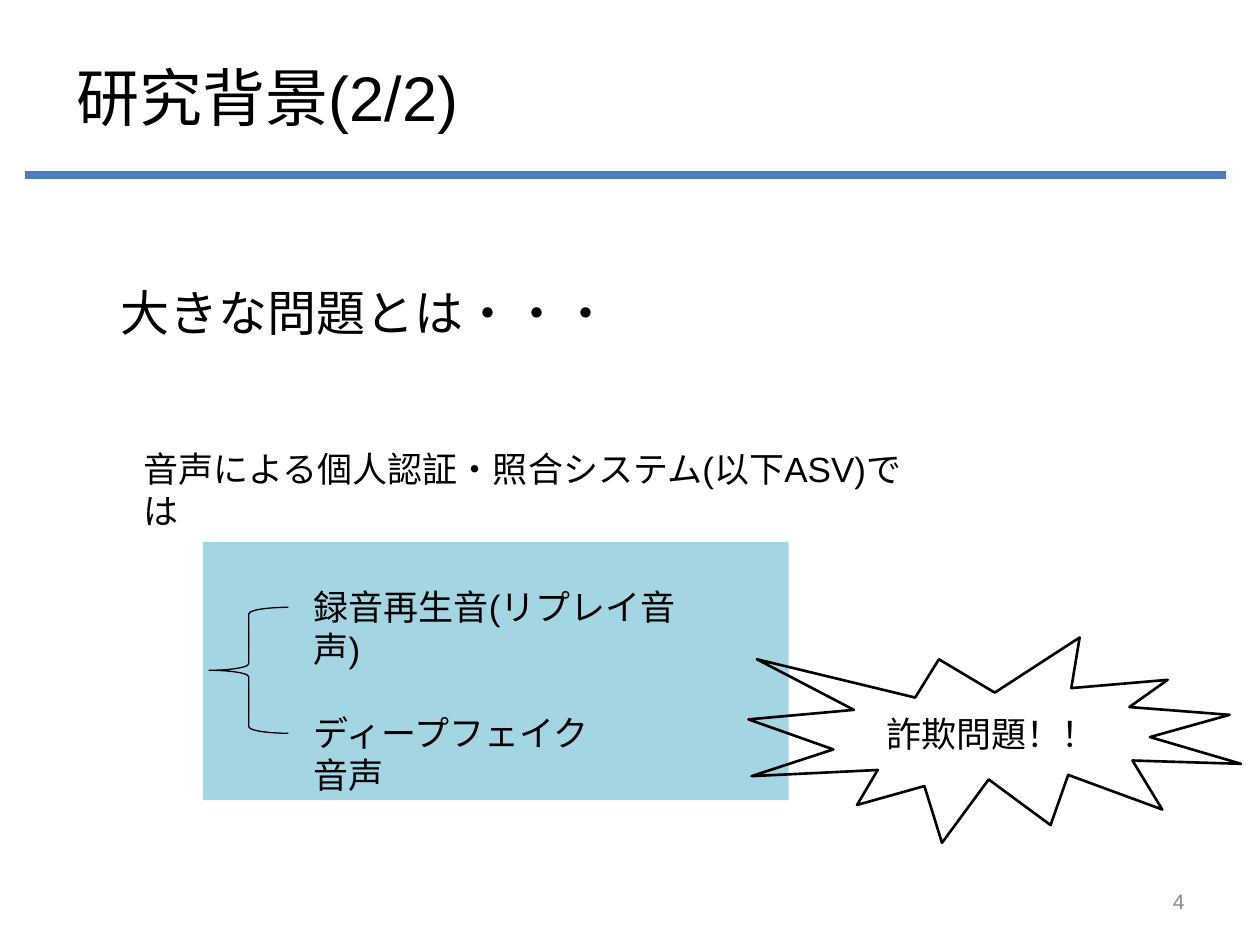
from lxml import etree
from pptx import Presentation
from pptx.dml.color import RGBColor
from pptx.enum.shapes import MSO_CONNECTOR, MSO_SHAPE
from pptx.enum.text import MSO_ANCHOR, PP_ALIGN
from pptx.oxml.ns import qn
from pptx.util import Emu, Pt

PX = 9144
FONT = "Arial"
BLACK, GREY, BLUE, TEAL = "000000", "8C8C8C", "4B7EBC", "4BACC6"
LEFT, CENTER, RIGHT = PP_ALIGN.LEFT, PP_ALIGN.CENTER, PP_ALIGN.RIGHT
TOP, MIDDLE = MSO_ANCHOR.TOP, MSO_ANCHOR.MIDDLE
RECTANGLE, BRACE, BURST = MSO_SHAPE.RECTANGLE, MSO_SHAPE.LEFT_BRACE, MSO_SHAPE.EXPLOSION1
STRAIGHT = MSO_CONNECTOR.STRAIGHT


def px(*lengths):
    """Turn px lengths into EMU."""
    return [Emu(length * PX) for length in lengths]


def color(code):
    """Turn a hex string into a colour."""
    return RGBColor.from_string(code)


def write(holder, words, size, code=BLACK, align=LEFT, anchor=TOP):
    """Write one formatted run into a shape."""
    frame = holder.text_frame
    frame.word_wrap = True
    frame.vertical_anchor = anchor
    paragraph = frame.paragraphs[0]
    paragraph.alignment = align
    run = paragraph.add_run()
    run.text = words
    run.font.name = FONT
    run.font.size = Pt(size)
    run.font.color.rgb = color(code)
    return frame


def add_text(shapes, box, words, size, **style):
    """Add a wrapped text box."""
    return write(shapes.add_textbox(*px(*box)), words, size, **style)


def add_outline(shapes, kind, box, weight):
    """Add an unfilled preset shape with a black line."""
    outline = shapes.add_shape(kind, *px(*box))
    outline.shadow.inherit = False
    outline.fill.background()
    outline.line.color.rgb = color(BLACK)
    outline.line.width = Pt(weight)
    return outline


def add_header(slide, x, y, width, height):
    """Place the title and the rule below it."""
    title = slide.shapes.title
    title.left, title.top, title.width, title.height = px(x, y, width, height)
    write(title, "研究背景(2/2)", 36, anchor=MIDDLE)
    rule_y = y + height + 16
    rule = slide.shapes.add_connector(STRAIGHT, *px(20, rule_y, 973, rule_y))
    rule.line.color.rgb = color(BLUE)
    rule.line.width = Pt(5)
    etree.SubElement(rule._element.spPr, qn("a:effectLst"))


def add_problem(slide, x, y):
    """Place the question and the sentence that leads to the threats."""
    question = add_text(slide.shapes, (x, y, 488, 57), "大きな問題とは・・・", 28)
    question.margin_left = px(88)[0]
    add_text(slide.shapes, (x + 96, y + 131, 645, 44),
             "音声による個人認証・照合システム(以下ASV)では", 20)


def add_threats(slide, x, y, width, height):
    """Place the tinted panel with the two braced threats."""
    shapes = slide.shapes.add_group_shape().shapes
    panel = shapes.add_shape(RECTANGLE, *px(x, y, width, height))
    panel.shadow.inherit = False
    panel.line.fill.background()
    panel.fill.solid()
    panel.fill.fore_color.rgb = color(TEAL)
    tint = panel._element.spPr.find(qn("a:solidFill"))[0]
    etree.SubElement(tint, qn("a:alpha"), val="50000")
    add_outline(shapes, BRACE, (x + 5, y + 52, 63, 100), 0.75)
    threats = [("録音再生音(リプレイ音声)", 328), ("ディープフェイク音声", 262)]
    for row, (threat, span) in enumerate(threats):
        add_text(shapes, (x + 78, y + 30 + 100 * row, span, 44), threat, 20)


def add_warning(slide, x, y, width, height):
    """Place the burst that names the resulting problem."""
    burst = add_outline(slide.shapes, BURST, (x, y, width, height), 1.5)
    write(burst, "詐欺問題！！", 20, align=CENTER, anchor=MIDDLE)


def main():
    """Build and save the slide."""
    deck = Presentation()
    deck.slide_width, deck.slide_height = px(1000, 750)
    slide = deck.slides.add_slide(deck.slide_layouts[5])
    add_header(slide, 51, 30, 899, 93)
    add_problem(slide, 8, 219)
    add_threats(slide, 161, 430, 465, 205)
    add_warning(slide, 594, 506, 391, 163)
    add_text(slide.shapes, (886, 695, 64, 40), "4", 12, code=GREY, align=RIGHT, anchor=MIDDLE)
    deck.save("out.pptx")


if __name__ == "__main__":
    main()
